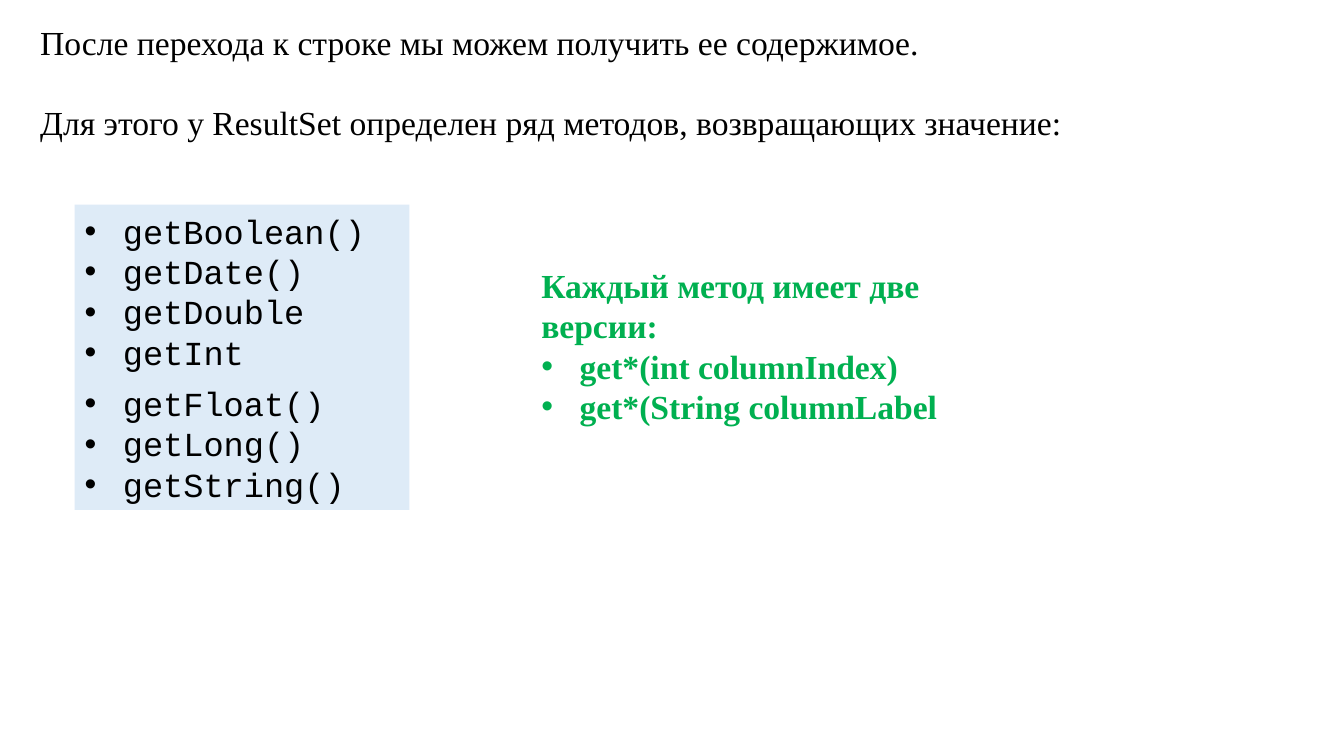
from pptx import Presentation
from pptx.dml.color import RGBColor
from pptx.enum import shapes, text
from pptx.oxml.ns import qn
from pptx.util import Inches, Pt

BLACK = RGBColor(0x00, 0x00, 0x00)
GREEN = RGBColor(0x00, 0xB0, 0x50)
PALE_BLUE = RGBColor(0xDE, 0xEB, 0xF7)
SERIF = "Times New Roman"
MONO = "Courier New"
INDENT = Inches(0.38)


def add_bullet(paragraph):
    properties = paragraph._p.get_or_add_pPr()
    properties.set("marL", str(INDENT))
    properties.set("indent", str(-INDENT))
    for tag, name, value in (("a:buFont", "typeface", "Arial"), ("a:buChar", "char", "•")):
        properties.append(properties.makeelement(qn(tag), {name: value}))


def write_lines(shape, lines, bulleted_from, font_format, color):
    """Fill the shape with paragraphs, bulleted from the given index on."""
    frame = shape.text_frame
    frame.word_wrap = True
    frame.text = "\n".join(lines)
    for index, paragraph in enumerate(frame.paragraphs):
        paragraph.alignment = text.PP_ALIGN.LEFT
        for name, value in font_format.items():
            setattr(paragraph.font, name, value)
        paragraph.font.color.rgb = color
        if index >= bulleted_from:
            add_bullet(paragraph)


presentation = Presentation()
presentation.slide_width = Inches(13.33)
presentation.slide_height = Inches(7.5)
slide = presentation.slides.add_slide(presentation.slide_layouts[6])

# Introductory sentences
introduction = [
    (0.17, "После перехода к строке мы можем получить ее содержимое."),
    (0.96, "Для этого у ResultSet определен ряд методов, возвращающих значение:"),
]
for top, sentence in introduction:
    box = slide.shapes.add_textbox(Inches(0.3), Inches(top), Inches(12.54), Inches(0.5))
    write_lines(box, [sentence], 1, {"name": SERIF, "size": Pt(24)}, BLACK)

# Stacked panels of getter methods
method_panels = [
    (2.03, 1.72, text.MSO_ANCHOR.MIDDLE, ["getBoolean()", "getDate()", "getDouble", "getInt"]),
    (3.75, 1.31, text.MSO_ANCHOR.TOP, ["getFloat()", "getLong()", "getString()"]),
]
for top, height, anchor, methods in method_panels:
    panel = slide.shapes.add_shape(
        shapes.MSO_SHAPE.RECTANGLE, Inches(0.74), Inches(top), Inches(3.32), Inches(height))
    panel.shadow.inherit = False
    panel.fill.solid()
    panel.fill.fore_color.rgb = PALE_BLUE
    panel.line.fill.background()
    panel.text_frame.vertical_anchor = anchor
    write_lines(panel, methods, 0, {"name": MONO, "size": Pt(24)}, BLACK)

# Note on the two versions of each method
versions = ["Каждый метод имеет две версии:", "get*(int columnIndex)", "get*(String columnLabel"]
note = slide.shapes.add_textbox(Inches(5.27), Inches(2.58), Inches(5.09), Inches(1.72))
write_lines(note, versions, 1, {"name": SERIF, "size": Pt(24), "bold": True}, GREEN)

presentation.save("out.pptx")
